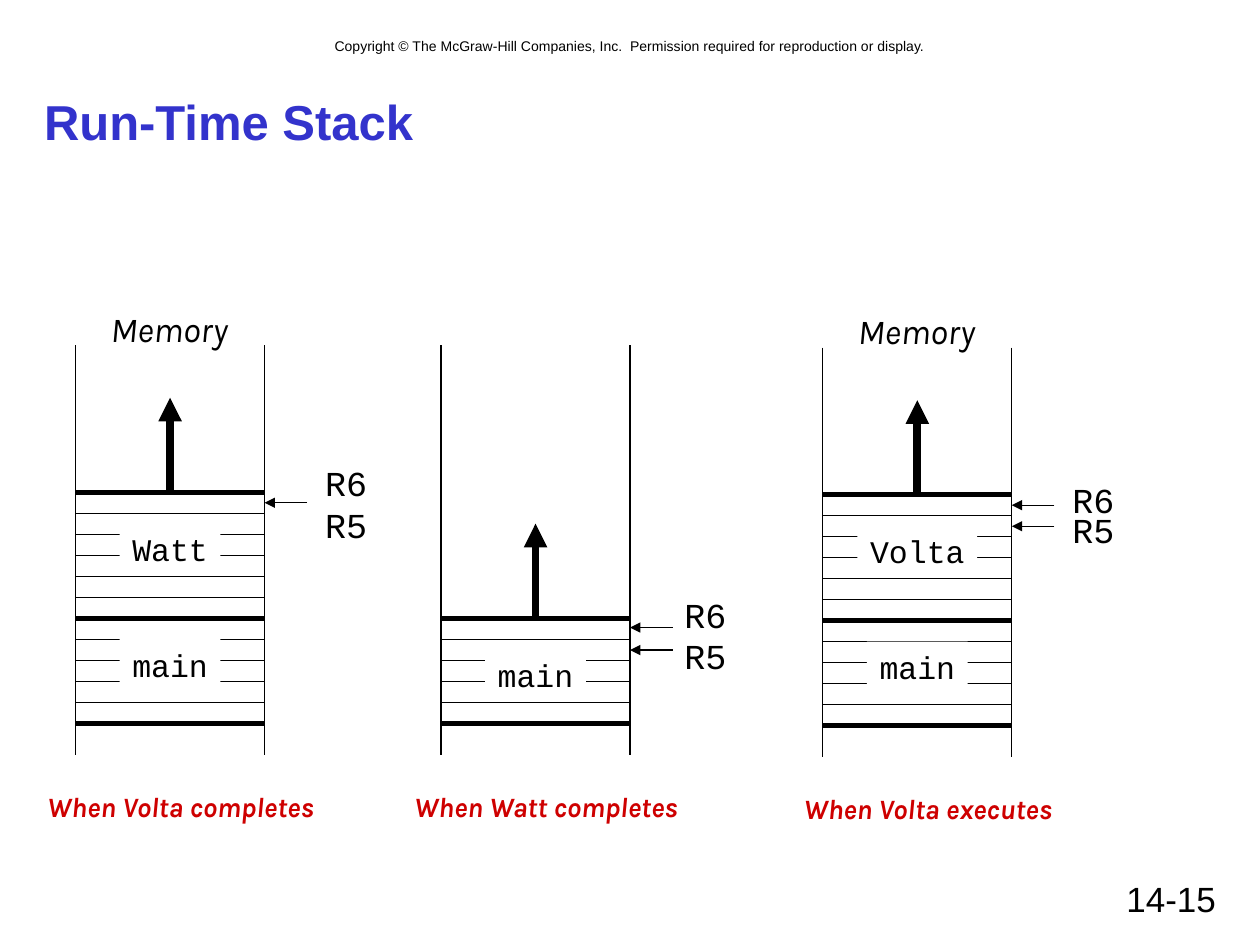
from dataclasses import dataclass

from lxml import etree
from pptx import Presentation
from pptx.dml.color import RGBColor
from pptx.enum.shapes import MSO_CONNECTOR, MSO_SHAPE
from pptx.enum.text import MSO_ANCHOR, MSO_AUTO_SIZE, PP_ALIGN
from pptx.oxml.ns import qn
from pptx.util import Pt

STRAIGHT = MSO_CONNECTOR.STRAIGHT
RECTANGLE = MSO_SHAPE.RECTANGLE
MIDDLE = MSO_ANCHOR.MIDDLE
NO_FIT = MSO_AUTO_SIZE.NONE
GROW = MSO_AUTO_SIZE.SHAPE_TO_FIT_TEXT
LEFT, CENTER, RIGHT = PP_ALIGN.LEFT, PP_ALIGN.CENTER, PP_ALIGN.RIGHT


@dataclass(frozen=True)
class TextStyle:
    size: float
    font: str
    color: str
    bold: bool = False
    italic: bool = False


@dataclass(frozen=True)
class Theme:
    ink: str = "000000"
    paper: str = "FFFFFF"
    thin: float = 0.75
    thick: float = 3
    growth: float = 4.5
    title: TextStyle = TextStyle(28, "Arial", "3333CC", bold=True)
    copyright: TextStyle = TextStyle(8, "Arial", "000000")
    number: TextStyle = TextStyle(20, "Arial", "000000")
    memory: TextStyle = TextStyle(20, "Karla", "000000", italic=True)
    frame: TextStyle = TextStyle(18, "Courier New", "000000")
    register: TextStyle = TextStyle(20, "Courier New", "000000")
    caption: TextStyle = TextStyle(16, "Karla", "CE0000", bold=True, italic=True)


@dataclass(frozen=True)
class Frame:
    name: str
    rows: int
    label_drop: float
    label_width: float = 57.6


@dataclass(frozen=True)
class Register:
    name: str
    label_top: float
    pointer_top: float | None


@dataclass(frozen=True)
class Stack:
    left: float
    top: float
    caption: str
    frames: tuple
    registers: tuple
    register_left: float
    has_memory_label: bool


THEME = Theme()
STACK_WIDTH, STACK_HEIGHT = 108, 234
STACK_BASE, ROW_HEIGHT = 216, 12
GROWTH_LENGTH, POINTER_LENGTH = 54, 24.3

MAIN = Frame("main", 5, 12)
STACKS = (
    Stack(43.2, 197.3, "When Volta completes",
          (MAIN, Frame("Watt", 6, 18)),
          (Register("R6", 62.6, 90), Register("R5", 87, None)), 135.4, True),
    Stack(252, 197.3, "When Watt completes",
          (Frame("main", 5, 18),),
          (Register("R6", 138.2, 161.3), Register("R5", 162, 174.2)), 131.8, False),
    Stack(470.2, 198.7, "When Volta executes",
          (MAIN, Frame("Volta", 6, 18, 68.4)),
          (Register("R6", 71.3, 90), Register("R5", 88.6, 102)), 135.4, True),
)


def write(shape, text, style, align=CENTER, wrap=False, fit=GROW):
    text_frame = shape.text_frame
    text_frame.text = text
    text_frame.word_wrap = wrap
    text_frame.auto_size = fit
    paragraph = text_frame.paragraphs[0]
    paragraph.alignment = align
    font = paragraph.runs[0].font
    font.size, font.name = Pt(style.size), style.font
    font.bold, font.italic = style.bold, style.italic
    font.color.rgb = RGBColor.from_string(style.color)


def add_text(slide, box, text, style, **options):
    write(slide.shapes.add_textbox(*map(Pt, box)), text, style, **options)


def add_line(slide, start, end, weight, arrow=False):
    line = slide.shapes.add_connector(STRAIGHT, *map(Pt, (*start, *end)))
    line.line.width = Pt(weight)
    line.line.color.rgb = RGBColor.from_string(THEME.ink)
    if arrow:
        etree.SubElement(line.line._get_or_add_ln(), qn("a:tailEnd"), type="triangle")
    etree.SubElement(line._element.spPr, qn("a:effectLst"))


def add_frame(slide, left, top, frame):
    right = left + STACK_WIDTH
    for row in range(frame.rows):
        y = top + row * ROW_HEIGHT
        add_line(slide, (left, y), (right, y), THEME.thin if row else THEME.thick)
    label_left = left + (STACK_WIDTH - frame.label_width) / 2
    label = slide.shapes.add_shape(
        RECTANGLE, Pt(label_left), Pt(top + frame.label_drop),
        Pt(frame.label_width), Pt(28.8))
    label.shadow.inherit = False
    label.fill.solid()
    label.fill.fore_color.rgb = RGBColor.from_string(THEME.paper)
    label.line.fill.background()
    write(label, frame.name, THEME.frame)


def add_register(slide, left, top, label_left, register):
    add_text(slide, (left + label_left, top + register.label_top, 38.4, 31.5),
             register.name, THEME.register)
    if register.pointer_top is not None:
        right, y = left + STACK_WIDTH, top + register.pointer_top
        add_line(slide, (right + POINTER_LENGTH, y), (right, y), THEME.thin, arrow=True)


def add_stack(slide, stack):
    left, top = stack.left, stack.top
    right, center = left + STACK_WIDTH, left + STACK_WIDTH / 2
    for x in (left, right):
        add_line(slide, (x, top), (x, top + STACK_HEIGHT), THEME.thin)
    frame_top = top + STACK_BASE
    add_line(slide, (left, frame_top), (right, frame_top), THEME.thick)
    for frame in stack.frames:
        frame_top -= frame.rows * ROW_HEIGHT
        add_frame(slide, left, frame_top, frame)
    add_line(slide, (center, frame_top), (center, frame_top - GROWTH_LENGTH),
             THEME.growth, arrow=True)
    for register in stack.registers:
        add_register(slide, left, top, stack.register_left, register)
    if stack.has_memory_label:
        add_text(slide, (left + 10, top - 25.2, 87, 31.5), "Memory", THEME.memory)
    add_text(slide, (left - 31, top + 250.3, 182, 26.6), stack.caption, THEME.caption)


def add_title(slide, box, text):
    title = slide.shapes.title
    title.left, title.top, title.width, title.height = map(Pt, box)
    write(title, text, THEME.title, align=LEFT, wrap=True, fit=NO_FIT)
    title.text_frame.vertical_anchor = MIDDLE


def main():
    presentation = Presentation()
    presentation.slide_width, presentation.slide_height = Pt(720), Pt(540)
    slide = presentation.slides.add_slide(presentation.slide_layouts[5])
    add_text(slide, (48, 18, 624, 17.3),
             "Copyright © The McGraw-Hill Companies, Inc.  "
             "Permission required for reproduction or display.",
             THEME.copyright, wrap=True)
    add_text(slide, (516, 498, 186, 30), "14-15", THEME.number,
             align=RIGHT, wrap=True, fit=NO_FIT)
    add_title(slide, (18, 48, 684, 42), "Run-Time Stack")
    for stack in STACKS:
        add_stack(slide, stack)
    presentation.save("out.pptx")


if __name__ == "__main__":
    main()
